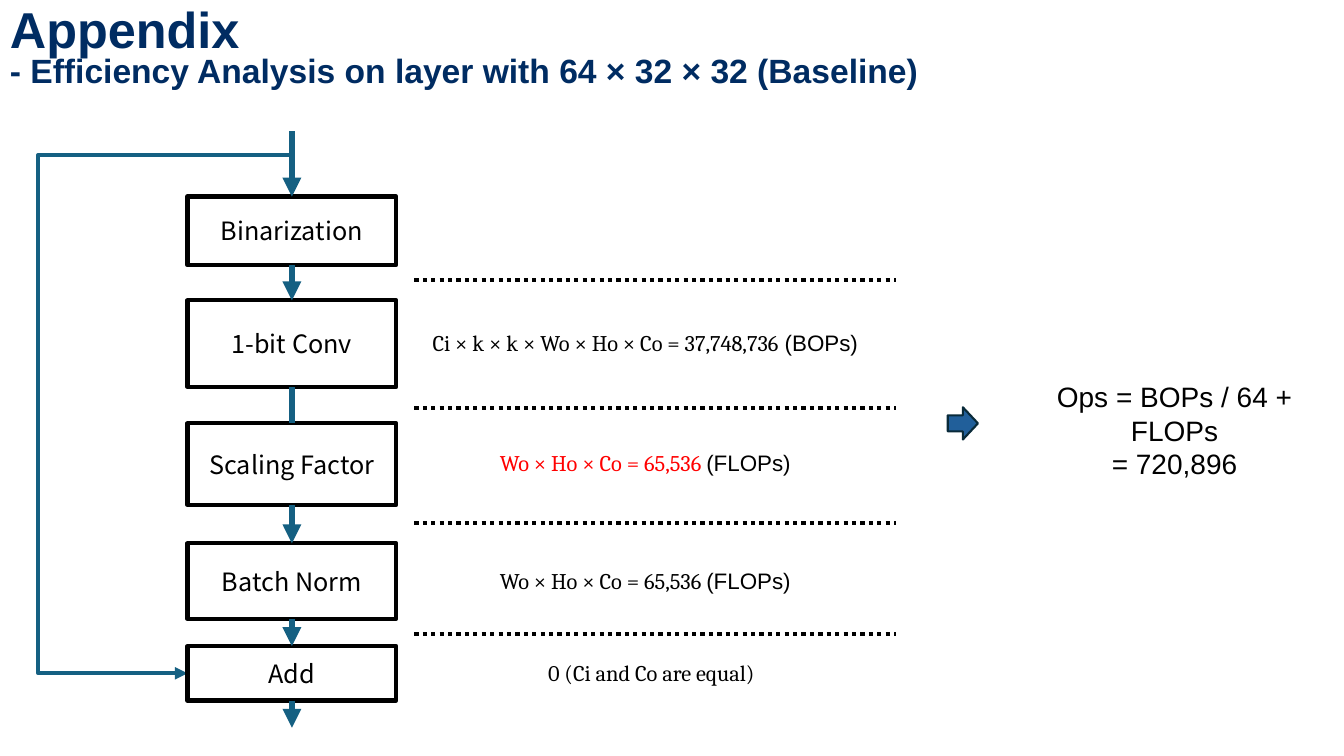
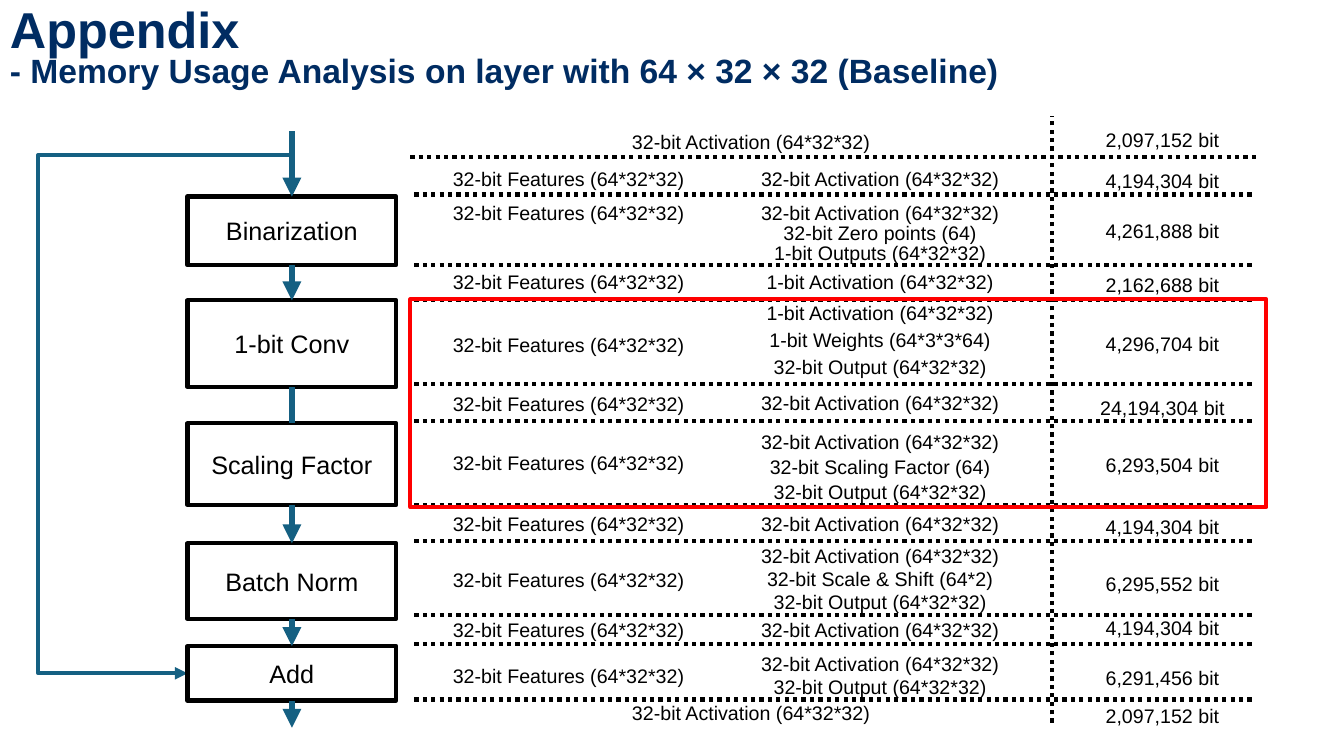
from typing import NamedTuple, Sequence

from pptx import Presentation
from pptx.dml.color import RGBColor
from pptx.enum.dml import MSO_LINE
from pptx.enum.shapes import MSO_CONNECTOR, MSO_SHAPE
from pptx.enum.text import MSO_ANCHOR, PP_ALIGN
from pptx.oxml.ns import qn
from pptx.util import Emu, Inches, Pt
from lxml import etree

STRAIGHT, ELBOW = MSO_CONNECTOR.STRAIGHT, MSO_CONNECTOR.ELBOW
RECTANGLE, RIGHT_ARROW = MSO_SHAPE.RECTANGLE, MSO_SHAPE.RIGHT_ARROW
DOTTED = MSO_LINE.ROUND_DOT
LEFT, CENTER = PP_ALIGN.LEFT, PP_ALIGN.CENTER
TOP_SIDE, BOTTOM_SIDE = 0, 2

NAVY = RGBColor(0x00, 0x2C, 0x62)
TEAL = RGBColor(0x15, 0x60, 0x82)
BLUE = RGBColor(0x21, 0x5F, 0x9A)
DARK_TEAL = RGBColor(0x09, 0x2A, 0x39)
BLACK = RGBColor(0x00, 0x00, 0x00)
WHITE = RGBColor(0xFF, 0xFF, 0xFF)
RED = RGBColor(0xFF, 0x00, 0x00)

SANS, SERIF, KOREAN = "Arial", "Cambria", "Noto Sans CJK KR"

GRID = Inches(1)  # every position and size below counts columns and rows of this grid
PAGE_WIDTH, PAGE_HEIGHT = 13.33, 7.5
STAGE_LEFT, STAGE_WIDTH = 1.86, 2.07
FLOW_X = STAGE_LEFT + STAGE_WIDTH / 2
FLOW_TOP, FLOW_BOTTOM = 1.3, 7.22
SKIP_X, SKIP_TOP = 0.38, 1.54
RULE_LEFT = 4.11
EFFICIENCY_RIGHT, MEMORY_RIGHT = 8.89, 12.43
FEATURES_X, TENSORS_X, TOTAL_X, SPAN_X = 5.64, 8.73, 11.53, 7.45
DIVIDER_X = 10.43

FEATURES = "32-bit Features (64*32*32)"
ACTIVATION = "32-bit Activation (64*32*32)"
OUTPUT = "32-bit Output (64*32*32)"
BIT_ACTIVATION = "1-bit Activation (64*32*32)"


class Stage(NamedTuple):
    name: str
    top: float
    height: float
    arrow_out: bool = True


class Span(NamedTuple):
    text: str
    font: str = SANS
    color: RGBColor = BLACK


class Formula(NamedTuple):
    x: float
    y: float
    spans: tuple[Span, ...]


class Band(NamedTuple):
    """One memory row: the rule below it and the middles of its texts."""
    floor: float
    features_y: float
    tensors_y: float
    tensors: tuple[str, ...]
    total_y: float
    total: str
    pitch: float = 0.0


STAGES = (
    Stage("Binarization", 1.95, 0.68),
    Stage("1-bit Conv", 2.98, 0.86, arrow_out=False),
    Stage("Scaling Factor", 4.2, 0.81),
    Stage("Batch Norm", 5.39, 0.75),
    Stage("Add", 6.41, 0.54),
)

FORMULAS = (
    Formula(6.4, 3.4, (Span("Ci × k × k × Wo × Ho × Co = 37,748,736", SERIF), Span(" (BOPs)"))),
    Formula(6.4, 4.59, (Span("Wo × Ho × Co = 65,536 ", SERIF, RED), Span("(FLOPs)"))),
    Formula(6.4, 5.76, (Span("Wo × Ho × Co = 65,536 ", SERIF), Span("(FLOPs)"))),
    Formula(6.46, 6.67, (Span("0 (Ci and Co are equal)", SERIF),)),
)
FORMULA_RULES = (2.78, 4.05, 5.19, 6.29)

BANDS = (
    Band(1.93, 1.77, 1.77, (ACTIVATION,), 1.79, "4,194,304 bit"),
    Band(2.63, 2.11, 2.31, (ACTIVATION, "32-bit Zero points (64)", "1-bit Outputs (64*32*32)"),
         2.29, "4,261,888 bit", 0.2),
    Band(2.98, 2.79, 2.79, (BIT_ACTIVATION,), 2.82, "2,162,688 bit"),
    Band(3.81, 3.42, 3.37, (BIT_ACTIVATION, "1-bit Weights (64*3*3*64)", OUTPUT),
         3.41, "4,296,704 bit", 0.27),
    Band(4.18, 4.0, 3.99, (ACTIVATION,), 4.04, "24,194,304 bit"),
    Band(5.01, 4.59, 4.63, (ACTIVATION, "32-bit Scaling Factor (64)", OUTPUT),
         4.61, "6,293,504 bit", 0.25),
    Band(5.37, 5.2, 5.2, (ACTIVATION,), 5.23, "4,194,304 bit"),
    Band(6.1, 5.75, 5.74, (ACTIVATION, "32-bit Scale & Shift (64*2)", OUTPUT),
         5.79, "6,295,552 bit", 0.23),
    Band(6.39, 6.25, 6.25, (ACTIVATION,), 6.23, "4,194,304 bit"),
    Band(6.94, 6.7, 6.7, (ACTIVATION, OUTPUT), 6.72, "6,291,456 bit", 0.23),
)


def grid(count: float) -> Emu:
    return Emu(round(count * GRID))


def add_span(para, text: str, *, size: float, font: str = SANS,
             color: RGBColor = BLACK, bold: bool = False) -> None:
    run = para.add_run()
    run.text = text
    run.font.name, run.font.size, run.font.bold = font, Pt(size), bold
    run.font.color.rgb = color


def add_text_box(page, left: float, top: float, width: float, height: float, *, wrap: bool = True):
    """Add an empty text box, centred vertically, and return its text frame."""
    frame = page.shapes.add_textbox(grid(left), grid(top), grid(width), grid(height)).text_frame
    frame.word_wrap = wrap
    frame.vertical_anchor = MSO_ANCHOR.MIDDLE
    return frame


def add_label(page, x: float, y: float, spans: Sequence[Span], *,
              size: float = 14, width: float = 3.4, height: float = 0.34) -> None:
    """Write one centred line around the point x, y."""
    para = add_text_box(page, x - width / 2, y - height / 2, width, height).paragraphs[0]
    para.alignment = CENTER
    for span in spans:
        add_span(para, span.text, size=size, font=span.font, color=span.color)


def add_title(page, subtitle: str) -> None:
    frame = add_text_box(page, 0, 0, PAGE_WIDTH, 0.99)
    for para, text, size in ((frame.paragraphs[0], "Appendix", 36),
                             (frame.add_paragraph(), subtitle, 24)):
        para.alignment, para.line_spacing = LEFT, 0.8
        add_span(para, text, size=size, color=NAVY, bold=True)


def add_block(page, kind, left: float, top: float, width: float, height: float, *,
              fill: RGBColor | None = None, line: RGBColor = BLACK, weight: float = 3):
    block = page.shapes.add_shape(kind, grid(left), grid(top), grid(width), grid(height))
    block.shadow.inherit = False
    if fill is None:
        block.fill.background()
    else:
        block.fill.solid()
        block.fill.fore_color.rgb = fill
    block.line.color.rgb, block.line.width = line, Pt(weight)
    return block


def add_line(page, start: tuple[float, float], end: tuple[float, float], *,
             kind=STRAIGHT, color: RGBColor = BLACK, weight: float = 3,
             dash=None, arrow: bool = False):
    line = page.shapes.add_connector(kind, *map(grid, start + end))
    line.line.color.rgb, line.line.width = color, Pt(weight)
    if dash is not None:
        line.line.dash_style = dash
    if arrow:
        etree.SubElement(line.line._get_or_add_ln(), qn("a:tailEnd"), type="triangle")
    etree.SubElement(line._element.spPr, qn("a:effectLst"))
    return line


def add_rule(page, y: float, right: float, *, overhang: float = 0) -> None:
    add_line(page, (RULE_LEFT - overhang, y), (right + overhang, y), dash=DOTTED)


def add_skip_path(page) -> None:
    """Lead the input around all stages into the side of the last one."""
    last = STAGES[-1]
    path = add_line(page, (FLOW_X, SKIP_TOP), (STAGE_LEFT, last.top + last.height / 2),
                    kind=ELBOW, color=TEAL, arrow=True)
    bend = round(100000 * (FLOW_X - SKIP_X) / (FLOW_X - STAGE_LEFT))
    adjustments = path._element.spPr.find(qn("a:prstGeom")).get_or_add_avLst()
    etree.SubElement(adjustments, qn("a:gd"), name="adj1", fmla=f"val {bend}")


def add_flow(page, font: str) -> None:
    add_skip_path(page)
    boxes = []
    for stage in STAGES:
        box = add_block(page, RECTANGLE, STAGE_LEFT, stage.top, STAGE_WIDTH, stage.height, fill=WHITE)
        box.text_frame.vertical_anchor = MSO_ANCHOR.MIDDLE
        para = box.text_frame.paragraphs[0]
        para.alignment = CENTER
        add_span(para, stage.name, size=18, font=font)
        boxes.append(box)

    sources, targets = [None, *boxes], [*boxes, None]
    heads = [True, *(stage.arrow_out for stage in STAGES)]
    for source, target, head in zip(sources, targets, heads):
        arrow = add_line(page, (FLOW_X, FLOW_TOP), (FLOW_X, FLOW_BOTTOM),
                         color=TEAL, weight=4.5, arrow=head)
        if source is not None:
            arrow.begin_connect(source, BOTTOM_SIDE)
        if target is not None:
            arrow.end_connect(target, TOP_SIDE)


def build_efficiency(page) -> None:
    add_title(page, "- Efficiency Analysis on layer with 64 × 32 × 32 (Baseline)")
    add_flow(page, KOREAN)
    for y in FORMULA_RULES:
        add_rule(page, y, EFFICIENCY_RIGHT)
    for formula in FORMULAS:
        add_label(page, formula.x, formula.y, formula.spans, size=16, width=4.78, height=0.37)
    add_block(page, RIGHT_ARROW, 9.4, 4.04, 0.3, 0.32, fill=BLUE, line=DARK_TEAL, weight=1.5)
    frame = add_text_box(page, 9.97, 3.88, 3.36, 0.77, wrap=False)
    for para, text in ((frame.paragraphs[0], "Ops = BOPs / 64 + FLOPs"),
                       (frame.add_paragraph(), "= 720,896")):
        para.alignment = CENTER
        add_span(para, text, size=20)


def build_memory(page) -> None:
    add_title(page, "- Memory Usage Analysis on layer with 64 × 32 × 32 (Baseline)")
    add_flow(page, SANS)
    add_rule(page, 1.56, MEMORY_RIGHT, overhang=0.04)
    for band in BANDS:
        add_rule(page, band.floor, MEMORY_RIGHT)
    add_line(page, (DIVIDER_X, 7.17), (DIVIDER_X, 1.15), dash=DOTTED)

    for activation_y, total_y in ((1.41, 1.39), (7.07, 7.1)):
        add_label(page, SPAN_X, activation_y, [Span(ACTIVATION)])
        add_label(page, TOTAL_X, total_y, [Span("2,097,152 bit")], width=1.64)
    for band in BANDS:
        add_label(page, FEATURES_X, band.features_y, [Span(FEATURES)])
        first_y = band.tensors_y - band.pitch * (len(band.tensors) - 1) / 2
        for index, tensor in enumerate(band.tensors):
            add_label(page, TENSORS_X, first_y + index * band.pitch, [Span(tensor)])
        add_label(page, TOTAL_X, band.total_y, [Span(band.total)], width=1.64)
    add_block(page, RECTANGLE, 4.07, 2.97, 8.49, 2.06, line=RED)


def main() -> None:
    deck = Presentation()
    deck.slide_width, deck.slide_height = grid(PAGE_WIDTH), grid(PAGE_HEIGHT)
    blank = deck.slide_layouts[6]
    for build in (build_efficiency, build_memory):
        build(deck.slides.add_slide(blank))
    deck.save("out.pptx")


if __name__ == "__main__":
    main()
